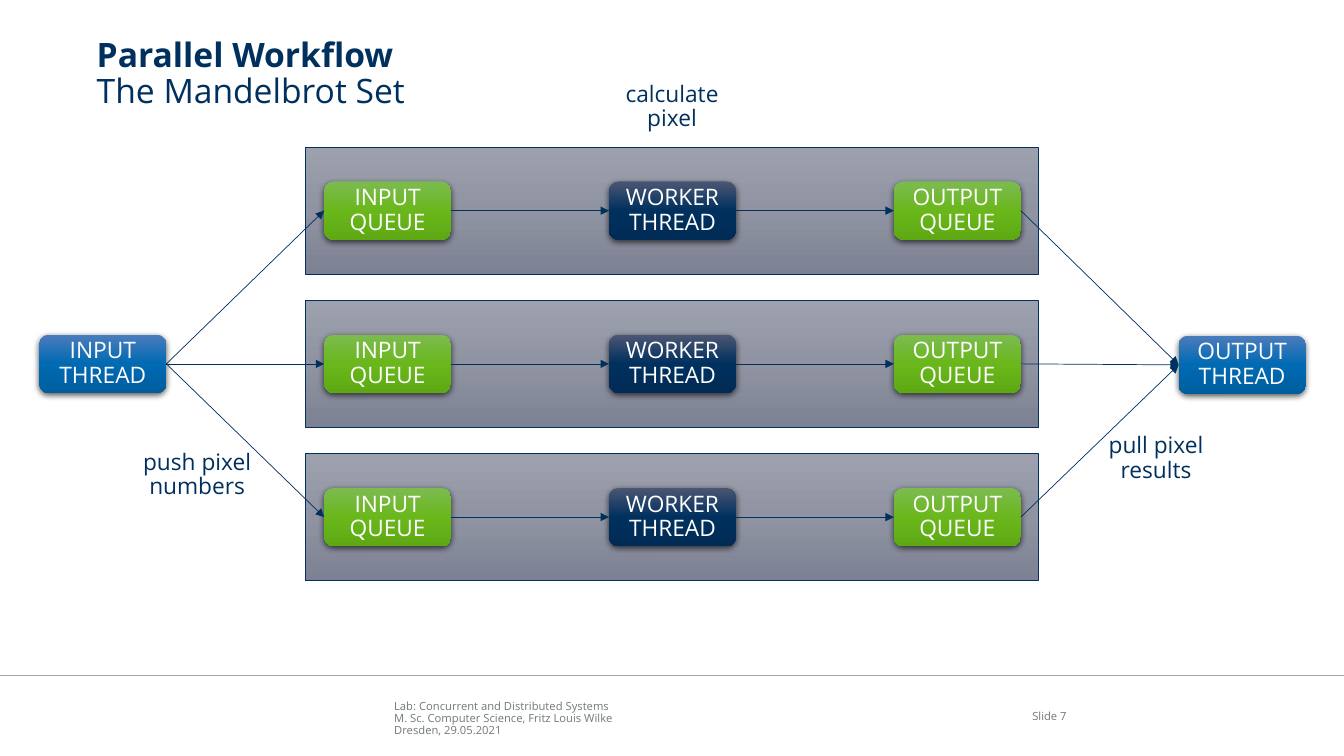
import copy
from dataclasses import dataclass

import pptx
import pptx.dml.color
import pptx.enum.shapes
import pptx.enum.text
import pptx.oxml
import pptx.oxml.ns
import pptx.util

Inches = pptx.util.Inches
SHAPE = pptx.enum.shapes.MSO_SHAPE
ALIGN = pptx.enum.text.PP_ALIGN
ANCHOR = pptx.enum.text.MSO_ANCHOR
NS = pptx.oxml.ns.nsdecls("a")


@dataclass(frozen=True)
class Theme:
    font: str = "Open Sans"
    navy: str = "00305E"
    white: str = "FFFFFF"
    footer: str = "727879"
    rule: str = "A6A6A6"
    thread_fill: tuple = ("4B7CBC", "006AB3", "005E9F")
    worker_fill: tuple = ("4B5673", "00305E", "002B54")
    queue_fill: tuple = ("7CBB50", "6AB71C", "5EA913")
    lane_fill: tuple = ("9DA1AE", "9094A2", "7C8193")
    title_size: float = 24
    body_size: float = 16.2
    footer_size: float = 8
    line_spacing: float = 0.9
    thin: float = 0.5


def rgb(value):
    return pptx.dml.color.RGBColor.from_string(value)


class Slide:
    def __init__(self, prs, theme):
        self.theme = theme
        self.shapes = prs.slides.add_slide(prs.slide_layouts[6]).shapes

    def fill_text(self, sp, paragraphs, size, color, align=ALIGN.LEFT, bold=False):
        """Fill a shape with paragraphs; a vertical tab breaks a line."""
        tf = sp.text_frame
        tf.word_wrap = True
        style = {"name": self.theme.font, "size": pptx.util.Pt(size), "bold": bold}
        for i, text in enumerate(paragraphs):
            p = tf.add_paragraph() if i else tf.paragraphs[0]
            p.text = text
            p.alignment = align
            p.line_spacing = self.theme.line_spacing
            for r in p.runs:
                for key, value in style.items():
                    setattr(r.font, key, value)
                r.font.color.rgb = rgb(color)
            for br in p._p.findall(pptx.oxml.ns.qn("a:br")):
                br.append(copy.deepcopy(p.runs[0]._r.rPr))
        return tf

    def text(self, box, paragraphs, size, color, inset=0, anchor=ANCHOR.TOP, **kw):
        sp = self.shapes.add_textbox(*map(Inches, box))
        tf = self.fill_text(sp, paragraphs, size, color, **kw)
        tf.vertical_anchor = anchor
        for side in ("left", "right", "top", "bottom"):
            setattr(tf, f"margin_{side}", Inches(inset))
        return tf

    def label(self, x, y, *lines):
        self.text((x, y, 1.41, 0.65), lines, self.theme.body_size,
                  self.theme.navy, inset=0.05, align=ALIGN.CENTER)

    def gradient_box(self, kind, box, colors, parent=None):
        sp = (parent or self).shapes.add_shape(kind, *map(Inches, box))
        sp.shadow.inherit = False
        stops = "".join(f'<a:gs pos="{i * 50000}"><a:srgbClr val="{c}"/></a:gs>'
                        for i, c in enumerate(colors))
        sp._element.spPr.prstGeom.addnext(pptx.oxml.parse_xml(
            f'<a:gradFill {NS} rotWithShape="1"><a:gsLst>{stops}</a:gsLst>'
            '<a:lin ang="5400000" scaled="0"/></a:gradFill>'))
        return sp

    def node(self, x, y, text, colors, parent=None):
        sp = self.gradient_box(SHAPE.ROUNDED_RECTANGLE, (x, y, 1.26, 0.58),
                               colors, parent)
        sp.line.fill.background()
        sp._element.spPr.find(pptx.oxml.ns.qn("a:effectLst")).append(
            pptx.oxml.parse_xml(
                f'<a:outerShdw {NS} blurRad="57150" dist="19050" dir="5400000" '
                'algn="ctr" rotWithShape="0"><a:srgbClr val="000000">'
                '<a:alpha val="63000"/></a:srgbClr></a:outerShdw>'))
        tf = self.fill_text(sp, [text], self.theme.body_size, self.theme.white,
                            ALIGN.CENTER)
        tf.vertical_anchor = ANCHOR.MIDDLE
        return sp

    def lane(self, box, colors):
        group = self.shapes.add_group_shape()
        sp = self.gradient_box(SHAPE.RECTANGLE, box, colors, group)
        sp.line.color.rgb = rgb(self.theme.navy)
        sp.line.width = pptx.util.Pt(self.theme.thin)
        return group

    def line(self, start, end, color, width, parent=None):
        cxn = (parent or self).shapes.add_connector(
            pptx.enum.shapes.MSO_CONNECTOR.STRAIGHT, *start, *end)
        cxn.line.color.rgb = rgb(color)
        cxn.line.width = pptx.util.Pt(width)
        cxn._element.spPr.append(pptx.oxml.parse_xml(f"<a:effectLst {NS}/>"))
        return cxn

    def arrow(self, source, target, parent=None):
        """Point from the right edge of one node to the left edge of another."""
        start = (source.left + source.width, source.top + source.height // 2)
        end = (target.left, target.top + target.height // 2)
        cxn = self.line(start, end, self.theme.navy, self.theme.thin, parent)
        cxn.line._get_or_add_ln().append(
            pptx.oxml.parse_xml(f'<a:tailEnd {NS} type="triangle"/>'))


def main():
    prs = pptx.Presentation()
    prs.slide_width, prs.slide_height = Inches(13.33), Inches(7.5)
    theme = Theme()
    s = Slide(prs, theme)

    # Footer
    footer = {"size": theme.footer_size, "color": theme.footer,
              "anchor": ANCHOR.BOTTOM}
    s.text((3.91, 6.91, 5.67, 0.4),
           ["Lab: Concurrent and Distributed Systems",
            "M. Sc. Computer Science, Fritz Louis Wilke",
            "Dresden, 29.05.2021"], **footer)
    s.line((0, Inches(6.7)), (prs.slide_width, Inches(6.7)), theme.rule, 1)
    s.text((9.81, 6.9, 0.77, 0.27), ["Slide 7"], align=ALIGN.RIGHT, **footer)

    # Title
    tf = s.text((0.96, 0.38, 11.57, 0.75),
                ["Parallel Workflow\vThe Mandelbrot Set"],
                theme.title_size, theme.navy, bold=True)
    tf.paragraphs[0].runs[1].font.bold = False

    # Threads at both ends
    columns = [0.39 + 2.825 * i for i in range(5)]
    source = s.node(columns[0], 3.32, "INPUT\vTHREAD", theme.thread_fill)
    sink = s.node(columns[4], 3.33, "OUTPUT\vTHREAD", theme.thread_fill)

    # Parallel lanes: input queue, worker, output queue
    steps = [("INPUT\vQUEUE", theme.queue_fill),
             ("WORKER\vTHREAD", theme.worker_fill),
             ("OUTPUT\vQUEUE", theme.queue_fill)]
    for i in range(3):
        top = 1.46 + 1.52 * i
        lane = s.lane((3.03, top, 7.27, 1.26), theme.lane_fill)
        nodes = [s.node(x, top + 0.34, text, colors, lane)
                 for x, (text, colors) in zip(columns[1:4], steps)]
        for left, right in zip(nodes, nodes[1:]):
            s.arrow(left, right, lane)
        s.arrow(source, nodes[0])
        s.arrow(nodes[-1], sink)

    # Step labels
    s.label(1.25, 4.42, "push pixel", "numbers")
    s.label(10.76, 4.26, "pull pixel", "results")
    s.label(5.96, 0.77, "calculate", "pixel")

    prs.save("out.pptx")


if __name__ == "__main__":
    main()
